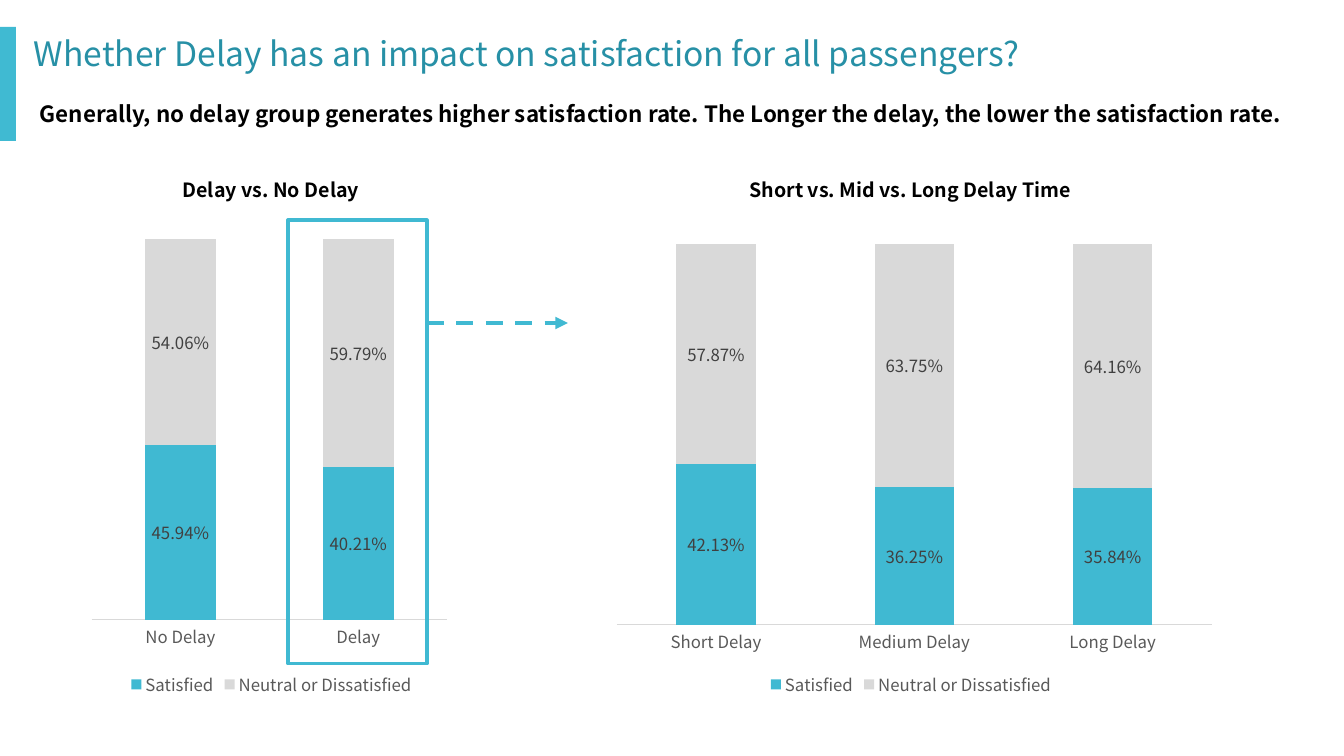
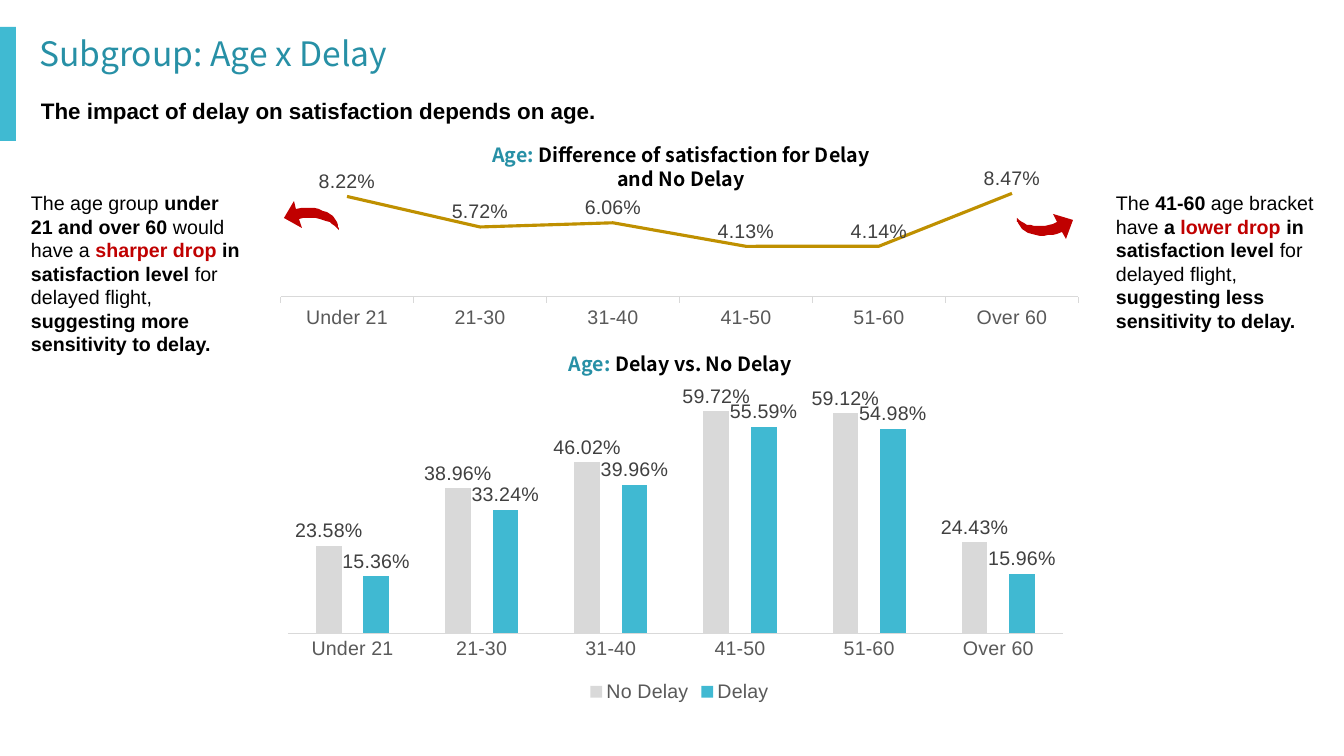
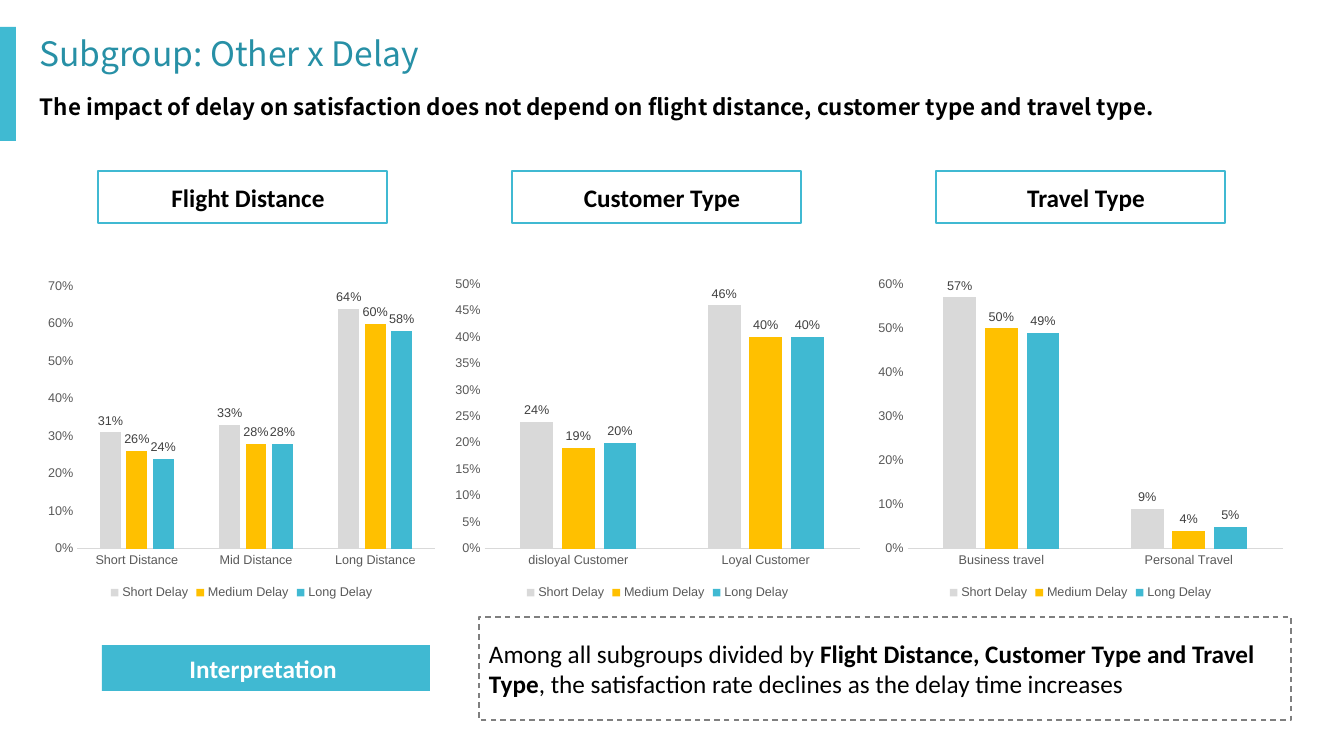
from pptx import Presentation
from pptx import util as u
from pptx.chart.data import CategoryChartData
from pptx.dml.color import RGBColor
from pptx.enum import chart as ch, dml, shapes, text
from pptx.oxml import parse_xml
from pptx.oxml.ns import nsdecls

PX = 914400 / 100.8
TEAL = RGBColor(0x40, 0xB9, 0xD2)
BAND = RGBColor(0x40, 0xBA, 0xD2)
TITLE = RGBColor(0x27, 0x90, 0xA6)
GREY = RGBColor(0xD9, 0xD9, 0xD9)
DARK = RGBColor(0x40, 0x40, 0x40)
MID = RGBColor(0x59, 0x59, 0x59)
DASH = RGBColor(0x7F, 0x7F, 0x7F)
GOLD = RGBColor(0xBF, 0x90, 0x00)
AMBER = RGBColor(0xFF, 0xC0, 0x00)
RED = RGBColor(0xC0, 0x00, 0x00)
BLACK = RGBColor(0, 0, 0)
WHITE = RGBColor(0xFF, 0xFF, 0xFF)
NOTO, ARIAL, CALIBRI = "Noto Sans CJK SC", "Arial", "Calibri"
LEFT, CENTER = text.PP_ALIGN.LEFT, text.PP_ALIGN.CENTER
TOP, MIDDLE = text.MSO_ANCHOR.TOP, text.MSO_ANCHOR.MIDDLE
KIND = ch.XL_CHART_TYPE
B = {"bold": True}
RED_B = {"bold": True, "color": RED}
TEAL_B = {"bold": True, "color": TITLE}


def px(n):
    return u.Emu(round(n * PX))


def set_font(font, size, name, color=BLACK, bold=False):
    for key, value in {"size": u.Pt(size), "name": name, "bold": bold}.items():
        setattr(font, key, value)
    font.color.rgb = color


def curve(a, b, c, d, steps=12):
    for i in range(1, steps + 1):
        t = i / steps
        w = ((1 - t) ** 3, 3 * t * (1 - t) ** 2, 3 * t * t * (1 - t), t ** 3)
        yield tuple(sum(k * q[j] for k, q in zip(w, (a, b, c, d))) for j in (0, 1))


class Deck:
    def __init__(self):
        self.prs = Presentation()
        self.prs.slide_width, self.prs.slide_height = px(1344), px(756)

    def slide(self, title, left, width):
        self.s = self.prs.slides.add_slide(self.prs.slide_layouts[6])
        self.box((0, 27, 16, 114), fill=BAND)
        tf = self.text((left, 30, width, 51), title, 24, NOTO, TITLE, anchor=MIDDLE)
        tf.paragraphs[0].line_spacing = 0.9

    def fill_text(self, sp, runs, size, name, color=BLACK, bold=False,
                  align=LEFT, anchor=TOP, pad=5):
        tf = sp.text_frame
        frame = {"word_wrap": True, "vertical_anchor": anchor, "margin_left": px(10),
                 "margin_right": px(10), "margin_top": px(pad), "margin_bottom": px(pad)}
        for key, value in frame.items():
            setattr(tf, key, value)
        p = tf.paragraphs[0]
        p.alignment = align
        for words, change in [(runs, {})] if isinstance(runs, str) else runs:
            r = p.add_run()
            r.text = words
            set_font(r.font, size, name, **{"color": color, "bold": bold, **change})
        return tf

    def text(self, at, runs, size, name, color=BLACK, **style):
        sp = self.s.shapes.add_textbox(*map(px, at))
        return self.fill_text(sp, runs, size, name, color, **style)

    def paint(self, sp, fill=None, line=None, weight=1.5, dash=None):
        sp.shadow.inherit = False
        if fill is None:
            sp.fill.background()
        else:
            sp.fill.solid()
            sp.fill.fore_color.rgb = fill
        if line is None:
            sp.line.fill.background()
        else:
            sp.line.color.rgb, sp.line.width = line, u.Pt(weight)
            sp.line.dash_style = dash
        return sp

    def box(self, at, **style):
        sp = self.s.shapes.add_shape(shapes.MSO_SHAPE.RECTANGLE, *map(px, at))
        return self.paint(sp, **style)

    def curved_arrow(self, head, *bends):
        points = list(head)
        for bend in bends:
            points += curve(points[-1], *bend)
        fb = self.s.shapes.build_freeform(*points[0], scale=PX)
        fb.add_line_segments(points[1:], close=True)
        self.paint(fb.convert_to_shape(), fill=RED)

    def arrow(self, x1, y1, x2, y2):
        c = self.s.shapes.add_connector(shapes.MSO_CONNECTOR.STRAIGHT,
                                        *map(px, (x1, y1, x2, y2)))
        c.line.color.rgb, c.line.width = TEAL, u.Pt(3)
        c.line.dash_style = dml.MSO_LINE.DASH
        c.line._get_or_add_ln().append(
            parse_xml('<a:tailEnd %s type="triangle"/>' % nsdecls("a")))
        c._element.spPr.append(parse_xml("<a:effectLst %s/>" % nsdecls("a")))

    def chart(self, at, kind, cats, series, size, name, top, step=None, fmt="0.00%",
              gap=150, overlap=100, plot=None, position=None, legend=True,
              tick=ch.XL_TICK_MARK.NONE):
        data = CategoryChartData(number_format=fmt)
        data.categories = cats
        for label, _, values in series:
            data.add_series(label, values)
        chart = self.s.shapes.add_chart(kind, *map(px, at), data).chart
        set_font(chart.font, size, name, MID)
        chart.has_title = False
        chart.has_legend = legend
        if legend:
            chart.legend.position = ch.XL_LEGEND_POSITION.BOTTOM
            chart.legend.include_in_layout = False
            set_font(chart.legend.font, size, name, MID)
        cat, val = chart.category_axis, chart.value_axis
        cat.major_tick_mark = tick
        cat.format.line.color.rgb, cat.format.line.width = GREY, u.Pt(0.75)
        set_font(cat.tick_labels.font, size, name, MID)
        axis = {"has_major_gridlines": False, "minimum_scale": 0, "maximum_scale": top,
                "major_unit": step, "visible": step is not None,
                "major_tick_mark": ch.XL_TICK_MARK.NONE}
        for key, value in axis.items():
            setattr(val, key, value)
        if step:
            val.format.line.fill.background()
            val.tick_labels.number_format = fmt
            val.tick_labels.number_format_is_linked = False
            set_font(val.tick_labels.font, size, name, MID)
        group = chart.plots[0]
        group.vary_by_categories = False
        if kind != KIND.LINE:
            group.gap_width, group.overlap = gap, overlap
        for ser, (_, color, _) in zip(group.series, series):
            if kind == KIND.LINE:
                ser.smooth = False
                ser.format.line.color.rgb, ser.format.line.width = color, u.Pt(2.25)
            else:
                ser.format.fill.solid()
                ser.format.fill.fore_color.rgb = color
            labels = ser.data_labels
            labels.show_value = True
            labels.number_format, labels.number_format_is_linked = fmt, False
            if position is not None:
                labels.position = position
            set_font(labels.font, size, name, DARK)
        if plot:
            area = chart._chartSpace.chart.plotArea
            for old in area.findall("{*}layout"):
                area.remove(old)
            sizes = "".join('<c:%s val="%s"/>' % pair for pair in zip("xywh", plot))
            area.insert(0, parse_xml(
                '<c:layout %s><c:manualLayout><c:layoutTarget val="inner"/>'
                '<c:xMode val="edge"/><c:yMode val="edge"/>%s</c:manualLayout></c:layout>'
                % (nsdecls("c"), sizes)))


d = Deck()

d.slide("Whether Delay has an impact on satisfaction for all passengers?", 24, 1145)
d.text((30, 90, 1313, 47), "Generally, no delay group generates higher satisfaction rate. "
       "The Longer the delay, the lower the satisfaction rate.", 16, NOTO, bold=True, pad=10)
for heading, x, w, chart_x, chart_w, plot, cats, satisfied, dissatisfied in (
        ("Delay vs. No Delay", 138, 266, 67, 409, (0.06, 0.03, 0.87, 0.8),
         ("No Delay", "Delay"), (0.4594, 0.4021), (0.5406, 0.5979)),
        ("Short vs. Mid vs. Long Delay Time", 714, 393, 569, 684, (0.07, 0.04, 0.87, 0.8),
         ("Short Delay", "Medium Delay", "Long Delay"),
         (0.4213, 0.3625, 0.3584), (0.5787, 0.6375, 0.6416))):
    d.text((x, 173, w, 34), heading, 14, NOTO, bold=True, align=CENTER)
    d.chart((chart_x, 225, chart_w, 476), KIND.COLUMN_STACKED_100, cats,
            (("Satisfied", TEAL, satisfied),
             ("Neutral or Dissatisfied", GREY, dissatisfied)), 12, NOTO, 1, plot=plot)
d.box((288, 220, 139, 444), line=TEAL, weight=2.25)
d.arrow(427, 323, 568, 323)

d.slide("Subgroup: Age x Delay", 29, 643)
d.text((31, 92, 1266, 37), "The impact of delay on satisfaction depends on age.",
       16, ARIAL, bold=True)
ages = ("Under 21", "21-30", "31-40", "41-50", "51-60", "Over 60")
d.chart((280, 160, 799, 180), KIND.LINE, ages,
        (("Series 1", GOLD, (0.0822, 0.0572, 0.0606, 0.0413, 0.0414, 0.0847)),),
        14, ARIAL, 0.09, plot=(0, 0.15, 1, 0.61), legend=False,
        position=ch.XL_LABEL_POSITION.ABOVE, tick=ch.XL_TICK_MARK.OUTSIDE)
d.chart((280, 340, 799, 367), KIND.COLUMN_CLUSTERED, ages,
        (("No Delay", GREY, (0.2358, 0.3896, 0.4602, 0.5972, 0.5912, 0.2443)),
         ("Delay", TEAL, (0.1536, 0.3324, 0.3996, 0.5559, 0.5498, 0.1596))),
        14, ARIAL, 0.7, gap=219, overlap=-85, plot=(0.01, 0.09, 0.97, 0.71),
        position=ch.XL_LABEL_POSITION.OUTSIDE_END)
for at, words in (((470, 138, 422, 57), "Difference of satisfaction for Delay and No Delay"),
                  ((518, 347, 325, 34), "Delay vs. No Delay")):
    d.text(at, [("Age: ", TEAL_B), (words, B)], 14, NOTO, align=CENTER)
d.text((21, 181, 233, 186),
       [("The age group ", {}), ("under 21 and over 60", B), (" would have a ", {}),
        ("sharper drop ", RED_B), ("in satisfaction level", B),
        (" for delayed flight, ", {}), ("suggesting more sensitivity to delay.", B)],
       14, ARIAL, pad=10)
d.text((1106, 181, 219, 163),
       [("The ", {}), ("41-60", B), (" age bracket have ", {}), ("a ", B),
        ("lower drop ", RED_B), ("in satisfaction level", B),
        (" for delayed flight, ", {}), ("suggesting less sensitivity to delay. ", B)],
       14, ARIAL, pad=10)
d.curved_arrow(((1062, 232), (1066, 239), (1073, 220), (1053, 214), (1057, 222)),
               ((1041, 229), (1025, 227), (1017, 218)),
               ((1017, 220), (1017, 222), (1018, 223)),
               ((1024, 236), (1044, 239), (1062, 232)))
d.curved_arrow(((296, 209), (294, 201), (284, 218), (302, 228), (299, 219)),
               ((317, 216), (332, 220), (339, 230)),
               ((339, 228), (338, 226), (338, 225)),
               ((334, 212), (316, 205), (296, 209)))

d.slide("Subgroup: Other x Delay", 29, 917)
d.text((30, 83, 1283, 47), "The impact of delay on satisfaction does not depend on flight "
       "distance, customer type and travel type.", 16, NOTO, bold=True, pad=10)
delays = (("Short Delay", GREY), ("Medium Delay", AMBER), ("Long Delay", TEAL))
for heading, x, at, top, step, cats, rates in (
        ("Flight Distance", 98, (40, 272, 403, 332), 0.7, 0.1,
         ("Short Distance", "Mid Distance", "Long Distance"),
         ((0.31, 0.33, 0.64), (0.26, 0.28, 0.6), (0.24, 0.28, 0.58))),
        ("Customer Type", 512, (447, 270, 421, 334), 0.5, 0.05,
         ("disloyal Customer", "Loyal Customer"),
         ((0.24, 0.46), (0.19, 0.4), (0.2, 0.4))),
        ("Travel Type", 936, (870, 270, 421, 334), 0.6, 0.1,
         ("Business travel", "Personal Travel"),
         ((0.57, 0.09), (0.5, 0.04), (0.49, 0.05)))):
    d.box((x, 171, 289, 52), line=TEAL)
    d.text((x + 17, 177, 266, 40), heading, 18, CALIBRI, bold=True, align=CENTER)
    d.chart(at, KIND.COLUMN_CLUSTERED, cats,
            [(label, color, values) for (label, color), values in zip(delays, rates)],
            9, ARIAL, top, step, fmt="0%", gap=219, overlap=-27,
            position=ch.XL_LABEL_POSITION.OUTSIDE_END)
d.fill_text(d.box((102, 645, 328, 46), fill=TEAL), "Interpretation ", 18, CALIBRI, WHITE,
            bold=True, align=CENTER, anchor=MIDDLE)
d.fill_text(d.box((479, 617, 812, 103), line=DASH, weight=1, dash=dml.MSO_LINE.DASH),
            [("Among all subgroups divided by ", {}),
             ("Flight Distance, Customer Type and Travel Type", B),
             (", the satisfaction rate declines as the delay time increases", {})],
            18, CALIBRI, anchor=MIDDLE)

d.prs.save("out.pptx")
